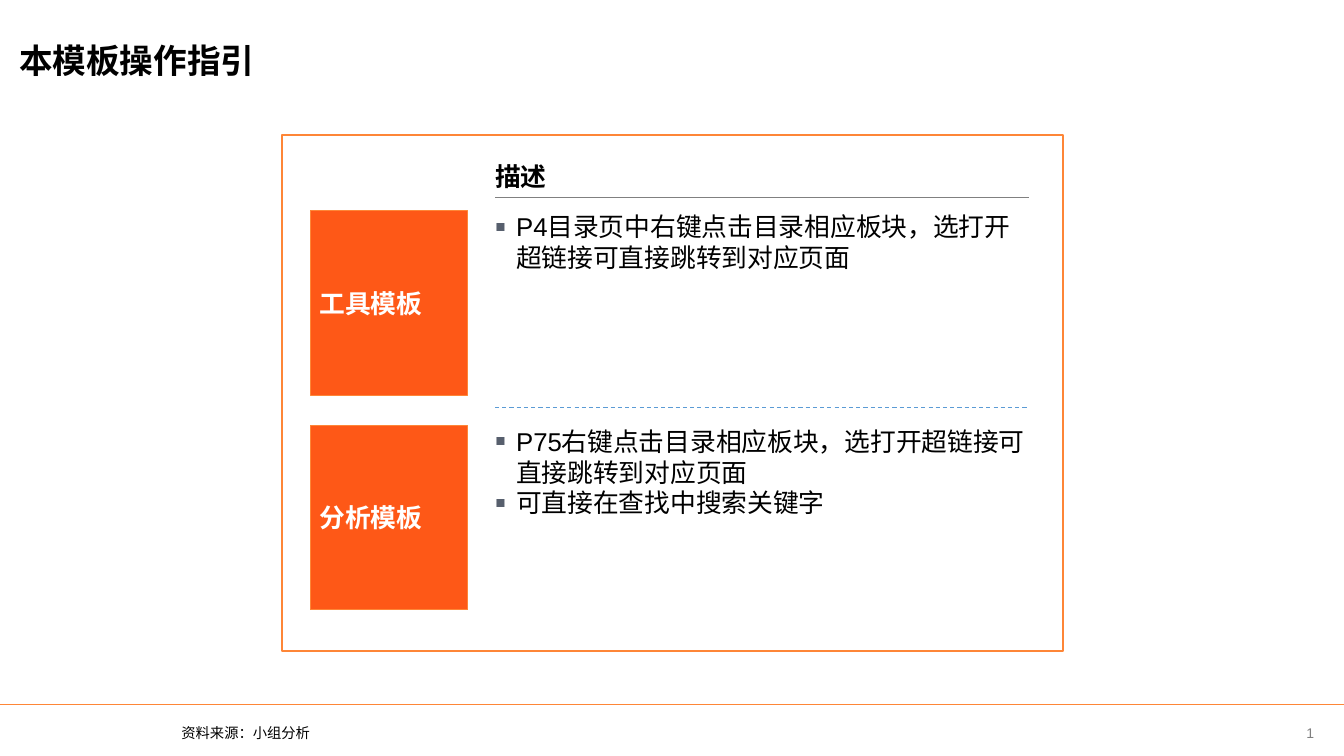
from lxml import etree
from pptx import Presentation
from pptx import util as u
from pptx.dml.color import RGBColor
from pptx.enum import dml, shapes, text
from pptx.oxml.ns import qn

WIDTH, HEIGHT = 13.33, 7.5
COLORS = {"ink": "000000", "white": "FFFFFF", "tile": "FE5817", "border": "FE8637",
          "rule": "808080", "divider": "5B9BD5", "bullet": "575F6D", "number": "808080"}
BODY = {"size": u.Pt(18.4), "name": "Arial", "bold": False}
HEADING = {**BODY, "bold": True}
TITLE = {**HEADING, "size": u.Pt(24)}
SMALL = {**BODY, "size": u.Pt(10.2)}
NUMBER = {**BODY, "size": u.Pt(10)}
INDENT = 0.21
GUIDE = [
    ("工具模板", ["P4目录页中右键点击目录相应板块，选打开超链接可直接跳转到对应页面"]),
    ("分析模板", ["P75右键点击目录相应板块，选打开超链接可直接跳转到对应页面",
              "可直接在查找中搜索关键字"]),
]


def rgb(name):
    return RGBColor.from_string(COLORS[name])


def inches(*lengths):
    return [u.Inches(length) for length in lengths]


def add_bullet(para):
    props = para._p.get_or_add_pPr()
    props.set("marL", str(u.Inches(INDENT)))
    props.set("indent", str(-u.Inches(INDENT)))
    color = etree.SubElement(props, qn("a:buClr"))
    etree.SubElement(color, qn("a:srgbClr"), val=COLORS["bullet"])
    etree.SubElement(props, qn("a:buSzPct"), val="125000")
    etree.SubElement(props, qn("a:buFont"), typeface="Arial")
    etree.SubElement(props, qn("a:buChar"), char="▪")


def write(shape, lines, style, color="ink", anchor="TOP", align="LEFT", inset=0, bullets=False):
    frame = shape.text_frame
    settings = {"word_wrap": True, "vertical_anchor": getattr(text.MSO_ANCHOR, anchor)}
    settings.update({f"margin_{side}": u.Inches(inset)
                     for side in ("left", "top", "right", "bottom")})
    for key, value in settings.items():
        setattr(frame, key, value)
    for index, line in enumerate(lines):
        para = frame.add_paragraph() if index else frame.paragraphs[0]
        para.alignment = getattr(text.PP_ALIGN, align)
        if bullets:
            add_bullet(para)
        span = para.add_run()
        span.text = line
        for key, value in style.items():
            setattr(span.font, key, value)
        span.font.color.rgb = rgb(color)


def add_text(page, box, lines, style, **options):
    write(page.shapes.add_textbox(*inches(*box)), lines, style, **options)


def add_rect(page, box, weight, fill=None):
    rect = page.shapes.add_shape(shapes.MSO_SHAPE.RECTANGLE, *inches(*box))
    rect.shadow.inherit = False
    if fill:
        rect.fill.solid()
        rect.fill.fore_color.rgb = rgb(fill)
    else:
        rect.fill.background()
    rect.line.color.rgb = rgb("border")
    rect.line.width = u.Pt(weight)
    return rect


def add_rule(page, left, top, width, color, weight=0.75, dashed=False):
    rule = page.shapes.add_connector(shapes.MSO_CONNECTOR.STRAIGHT,
                                     *inches(left, top, left + width, top))
    rule.line.color.rgb = rgb(color)
    rule.line.width = u.Pt(weight)
    if dashed:
        rule.line.dash_style = dml.MSO_LINE.DASH
    etree.SubElement(rule._element.spPr, qn("a:effectLst"))


def add_guide(page, box):
    """Framed panel with a heading and one tile-and-bullets row per template."""
    left, top, width, height = box
    tile_left, text_left, text_width = left + 0.28, left + 2.11, 5.3
    first_row, tile_width, tile_height, pitch = top + 0.75, 1.56, 1.83, 2.13

    add_rect(page, box, 1.5)
    add_text(page, (text_left, top + 0.25, 4.42, 0.32), ["描述"], HEADING)
    add_rule(page, text_left, top + 0.62, text_width, "rule")
    for row, (label, points) in enumerate(GUIDE):
        row_top = first_row + row * pitch
        tile = add_rect(page, (tile_left, row_top, tile_width, tile_height), 0.75, "tile")
        write(tile, [label], HEADING, color="white", anchor="MIDDLE", inset=0.09)
        add_text(page, (text_left, row_top, text_width, tile_height), points, BODY, bullets=True)
        if row:
            add_rule(page, text_left, row_top - 0.18, text_width, "divider", dashed=True)


def add_footer(page, box):
    left, top, width, height = box
    add_rule(page, left, top, width, "border", 1)
    add_text(page, (left + 1.8, top + 0.19, 7.66, 0.18), ["资料来源：小组分析"], SMALL,
             anchor="MIDDLE")
    add_text(page, (left + width - 0.67, top + 0.05, 0.67, 0.46), ["1"], NUMBER,
             color="number", anchor="MIDDLE", align="CENTER")


def main():
    deck = Presentation()
    deck.slide_width, deck.slide_height = inches(WIDTH, HEIGHT)
    page = deck.slides.add_slide(deck.slide_layouts[6])
    add_text(page, (0.19, 0.2, 11.96, 0.79), ["本模板操作指引"], TITLE, anchor="MIDDLE")
    add_guide(page, (2.8, 1.34, 7.74, 5.12))
    add_footer(page, (0, 6.99, WIDTH, HEIGHT - 6.99))
    deck.save("out.pptx")


if __name__ == "__main__":
    main()
